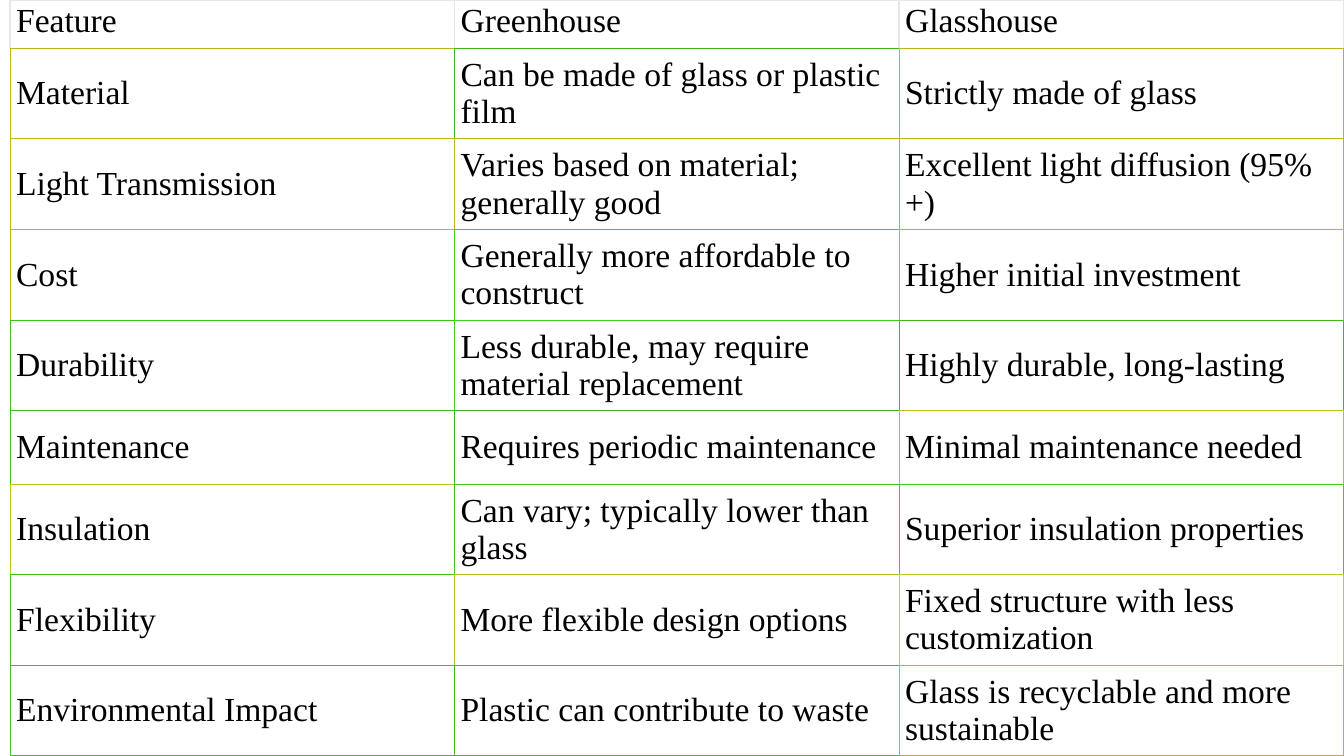
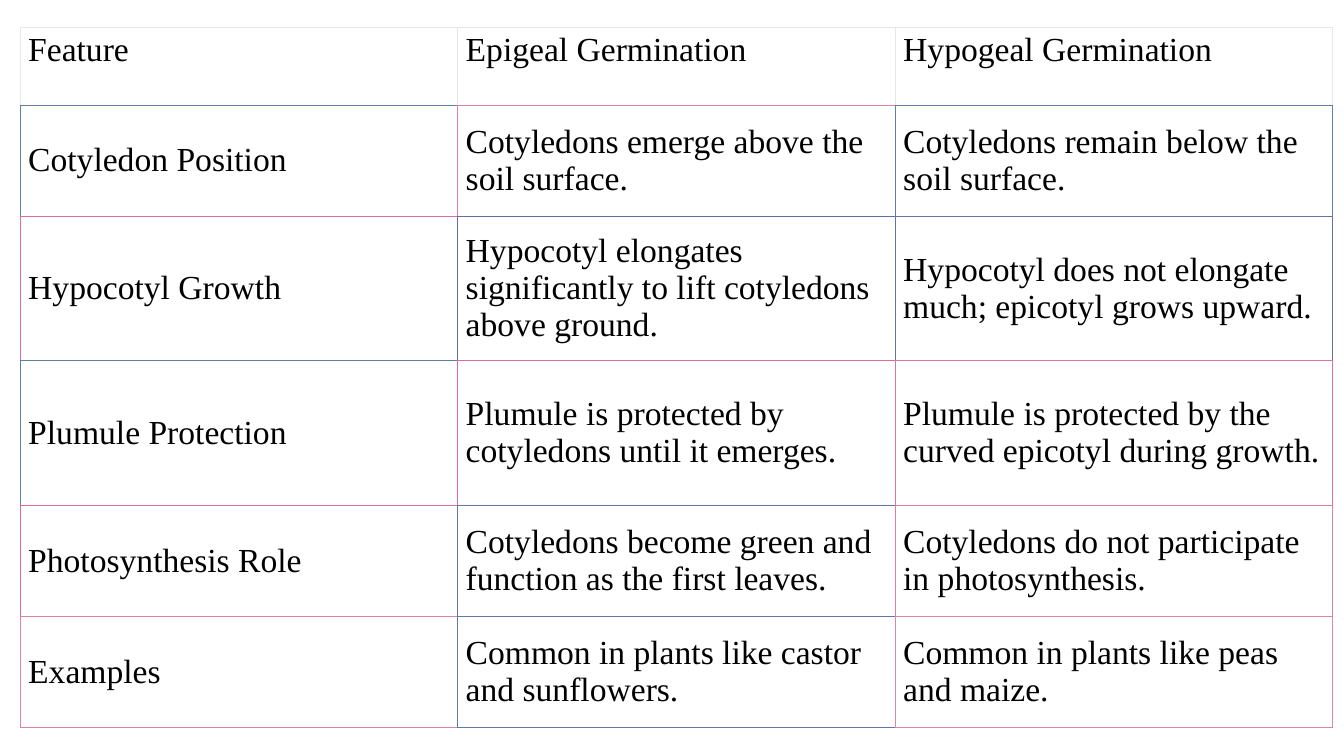
import lxml.etree
import pptx
import pptx.dml.color
import pptx.enum.text
import pptx.oxml.ns
import pptx.util

Pt = pptx.util.Pt
RGBColor = pptx.dml.color.RGBColor
ANCHOR = pptx.enum.text.MSO_ANCHOR

INK = RGBColor(0x00, 0x00, 0x00)
HEADER_LINE = RGBColor(0xE5, 0xE7, 0xEB)
FONT = "Times New Roman"

# Each body row: its three texts, then the line colour of each of its cells.
TABLES = [
    {
        "left": 7.2, "top": 0, "col_width": 317.5, "margins": (4.32, 2.16),
        "heights": [34.5] + [64.7] * 4 + [52.6] + [64.7] * 3,
        "header": ["Feature", "Greenhouse", "Glasshouse"],
        "body": [
            (["Material", "Can be made of glass or plastic film", "Strictly made of glass"],
             "C0B41A 40B71A C0B31A"),
            (["Light Transmission", "Varies based on material; generally good",
              "Excellent light diffusion (95%+)"],
             "C0B51A C0B21A C0B21A"),
            (["Cost", "Generally more affordable to construct", "Higher initial investment"],
             "C0B31A 40CE1A C0B71A"),
            (["Durability", "Less durable, may require material replacement",
              "Highly durable, long-lasting"],
             "40C11A 40D01A 40B81A"),
            (["Maintenance", "Requires periodic maintenance", "Minimal maintenance needed"],
             "40BE1A 40B11A C0BF1A"),
            (["Insulation", "Can vary; typically lower than glass",
              "Superior insulation properties"],
             "C0C81A 40C31A 40CC1A"),
            (["Flexibility", "More flexible design options",
              "Fixed structure with less customization"],
             "40C11A C0B71A C0CE1A"),
            (["Environmental Impact", "Plastic can contribute to waste",
              "Glass is recyclable and more sustainable"],
             "40C31A 40BA1A C0B41A"),
        ],
    },
    {
        "left": 14.4, "top": 19.5, "col_width": 312.5, "margins": (5.76, 2.88),
        "heights": [55.5, 79.5, 103.2, 103.2, 79.5, 79.5],
        "header": ["Feature", "Epigeal Germination", "Hypogeal Germination"],
        "body": [
            (["Cotyledon Position", "Cotyledons emerge above the soil surface.",
              "Cotyledons remain below the soil surface."],
             "607FA3 E082A3 607FA3"),
            (["Hypocotyl Growth",
              "Hypocotyl elongates significantly to lift cotyledons above ground.",
              "Hypocotyl does not elongate much; epicotyl grows upward."],
             "E06CA3 606EA3 6075A3"),
            (["Plumule Protection", "Plumule is protected by cotyledons until it emerges.",
              "Plumule is protected by the curved epicotyl during growth."],
             "607FA3 E069A3 E073A3"),
            (["Photosynthesis Role", "Cotyledons become green and function as the first leaves.",
              "Cotyledons do not participate in photosynthesis."],
             "E069A3 6077A3 E07FA3"),
            (["Examples", "Common in plants like castor and sunflowers.",
              "Common in plants like peas and maize."],
             "E082A3 6078A3 E085A3"),
        ],
    },
]


def write(cell, text, anchor=ANCHOR.MIDDLE, margins=(0, 0), size=24, color=INK):
    cell.vertical_anchor = anchor
    cell.margin_left = cell.margin_right = Pt(margins[0])
    cell.margin_top = cell.margin_bottom = Pt(margins[1])
    r = cell.text_frame.paragraphs[0].add_run()
    r.text = text
    r.font.name = FONT
    r.font.size = Pt(size)
    r.font.bold = False
    r.font.color.rgb = color


def add_border(cell, side, color):
    """Draw one side (L, R, T or B); call in that order, before the fill is set."""
    qn = pptx.oxml.ns.qn
    width = 1 if color == HEADER_LINE else 0.75
    tc_pr = cell._tc.get_or_add_tcPr()
    ln = lxml.etree.SubElement(tc_pr, qn(f"a:ln{side}"), w=str(Pt(width)))
    fill = lxml.etree.SubElement(ln, qn("a:solidFill"))
    lxml.etree.SubElement(fill, qn("a:srgbClr"), val=str(color))


prs = pptx.Presentation()
prs.slide_width, prs.slide_height = Pt(960), Pt(540)

for data in TABLES:
    s = prs.slides.add_slide(prs.slide_layouts[6])
    texts = [data["header"]] + [row for row, _ in data["body"]]
    lines = [[HEADER_LINE] * 3]
    lines += [[RGBColor.from_string(c) for c in colors.split()] for _, colors in data["body"]]
    last_row, last_col = len(texts) - 1, len(texts[0]) - 1

    table = s.shapes.add_table(
        len(texts), len(texts[0]), Pt(data["left"]), Pt(data["top"]),
        Pt(data["col_width"] * len(texts[0])), Pt(sum(data["heights"]))).table
    table.horz_banding = False
    for col in table.columns:
        col.width = Pt(data["col_width"])

    for i, row in enumerate(texts):
        table.rows[i].height = Pt(data["heights"][i])
        for j, text in enumerate(row):
            cell = table.cell(i, j)
            write(cell, text, margins=data["margins"],
                  anchor=ANCHOR.MIDDLE if i else ANCHOR.TOP)
            # A shared edge takes the colour of the cell to its right or below it.
            add_border(cell, "L", lines[i][j])
            add_border(cell, "R", lines[i][min(j + 1, last_col)])
            add_border(cell, "T", lines[i][j])
            add_border(cell, "B", lines[min(i + 1, last_row)][j])
            cell.fill.background()

prs.save("out.pptx")
